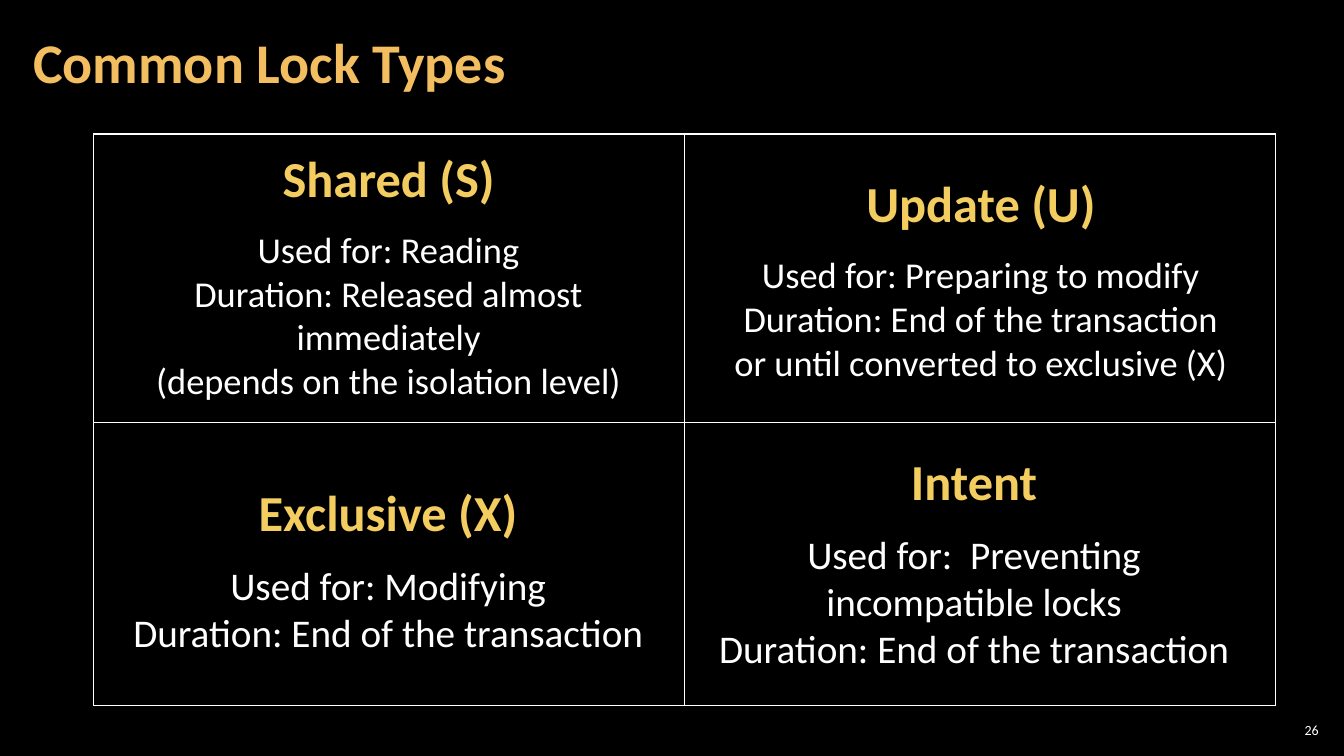
from lxml.etree import SubElement
from pptx import Presentation
from pptx.dml.color import RGBColor
from pptx.enum.text import MSO_ANCHOR, MSO_AUTO_SIZE, PP_ALIGN
from pptx.oxml import parse_xml
from pptx.oxml.ns import nsdecls, qn
from pptx.util import Pt

PX = 9144  # 100 px to the inch
BLACK = RGBColor(0x00, 0x00, 0x00)
WHITE = RGBColor(0xFF, 0xFF, 0xFF)
AMBER = RGBColor(0xF3, 0xBE, 0x60)
GOLD = RGBColor(0xF3, 0xCD, 0x60)
FONT = "Calibri"
GAP = Pt(14)

# Box, body size, heading, body lines
LOCKS = [
    ((98, 141, 575, 266), 26, "Shared (S)",
     ["Used for: Reading", "Duration: Released almost immediately",
      "(depends on the isolation level)"]),
    ((708, 166, 530, 222), 26, "Update (U)",
     ["Used for: Preparing to modify",
      "Duration: End of the transaction or until converted to exclusive (X)"]),
    ((120, 472, 530, 185), 28, "Exclusive (X)",
     ["Used for: Modifying", "Duration: End of the transaction"]),
    ((700, 442, 532, 232), 28, "Intent",
     ["Used for:  Preventing incompatible locks",
      "Duration: End of the transaction"]),
]


def scale(box):
    return [n * PX for n in box]


def add_run(para, text, size, color, bold=False):
    run = para.add_run()
    run.text = text
    font = run.font
    font.name, font.size, font.bold = FONT, Pt(size), bold
    font.color.rgb = color


def set_frame(frame, side, edge, anchor):
    frame.word_wrap = True
    frame.auto_size = MSO_AUTO_SIZE.NONE
    frame.vertical_anchor = anchor
    frame.margin_left = frame.margin_right = side * PX
    frame.margin_top = frame.margin_bottom = edge * PX


def add_title(slide, text):
    title = slide.shapes.title
    title.left, title.top, title.width, title.height = scale((21, 4, 1047, 121))
    set_frame(title.text_frame, 12, 4, MSO_ANCHOR.MIDDLE)
    para = title.text_frame.paragraphs[0]
    para.alignment = PP_ALIGN.LEFT
    para.line_spacing = 0.9
    add_run(para, text, 40, AMBER, True)


def set_border(cell):
    props = cell._tc.get_or_add_tcPr()
    for spot, side in enumerate("LRTB"):
        line = parse_xml(f'<a:ln{side} {nsdecls("a")} w="{Pt(1)}"/>')
        fill = SubElement(line, qn("a:solidFill"))
        SubElement(fill, qn("a:srgbClr"), val=str(WHITE))
        props.insert(spot, line)


def add_grid(slide):
    frame = slide.shapes.add_table(2, 2, *scale((93, 133, 1172, 567)))
    table = frame.table
    table.first_row = table.horz_banding = False
    for row, height in zip(table.rows, (286, 281)):
        row.height = height * PX
    for cell in table.iter_cells():
        cell.fill.background()
        set_border(cell)


def add_lock(slide, box, size, head, lines):
    frame = slide.shapes.add_textbox(*scale(box)).text_frame
    set_frame(frame, 10, 5, MSO_ANCHOR.TOP)
    para = frame.paragraphs[0]
    para.alignment = PP_ALIGN.CENTER
    para.space_after = GAP
    add_run(para, head, 36, GOLD, True)
    for line in lines:
        para = frame.add_paragraph()
        para.alignment = PP_ALIGN.CENTER
        add_run(para, line, size, WHITE)


def add_number(slide, text):
    frame = slide.shapes.add_textbox(*scale((1265, 714, 47, 21))).text_frame
    set_frame(frame, 4, 4, MSO_ANCHOR.MIDDLE)
    para = frame.paragraphs[0]
    para.alignment = PP_ALIGN.RIGHT
    add_run(para, text, 10, WHITE)


def main():
    deck = Presentation()
    deck.slide_width, deck.slide_height = scale((1333, 750))
    slide = deck.slides.add_slide(deck.slide_layouts[5])
    back = slide.background.fill
    back.solid()
    back.fore_color.rgb = BLACK
    add_title(slide, "Common Lock Types")
    add_grid(slide)
    for lock in LOCKS:
        add_lock(slide, *lock)
    add_number(slide, "26")
    deck.save("out.pptx")


if __name__ == "__main__":
    main()
